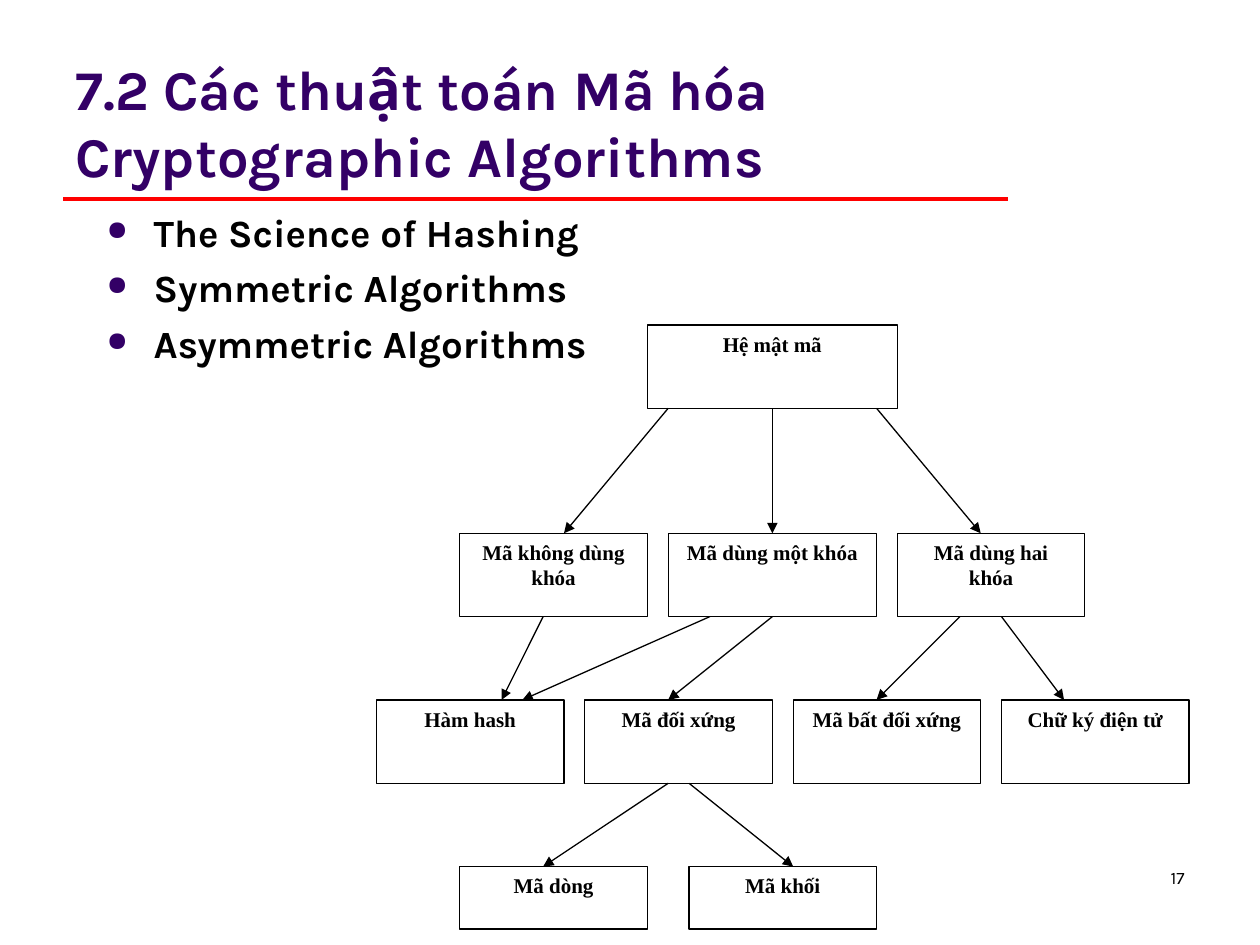
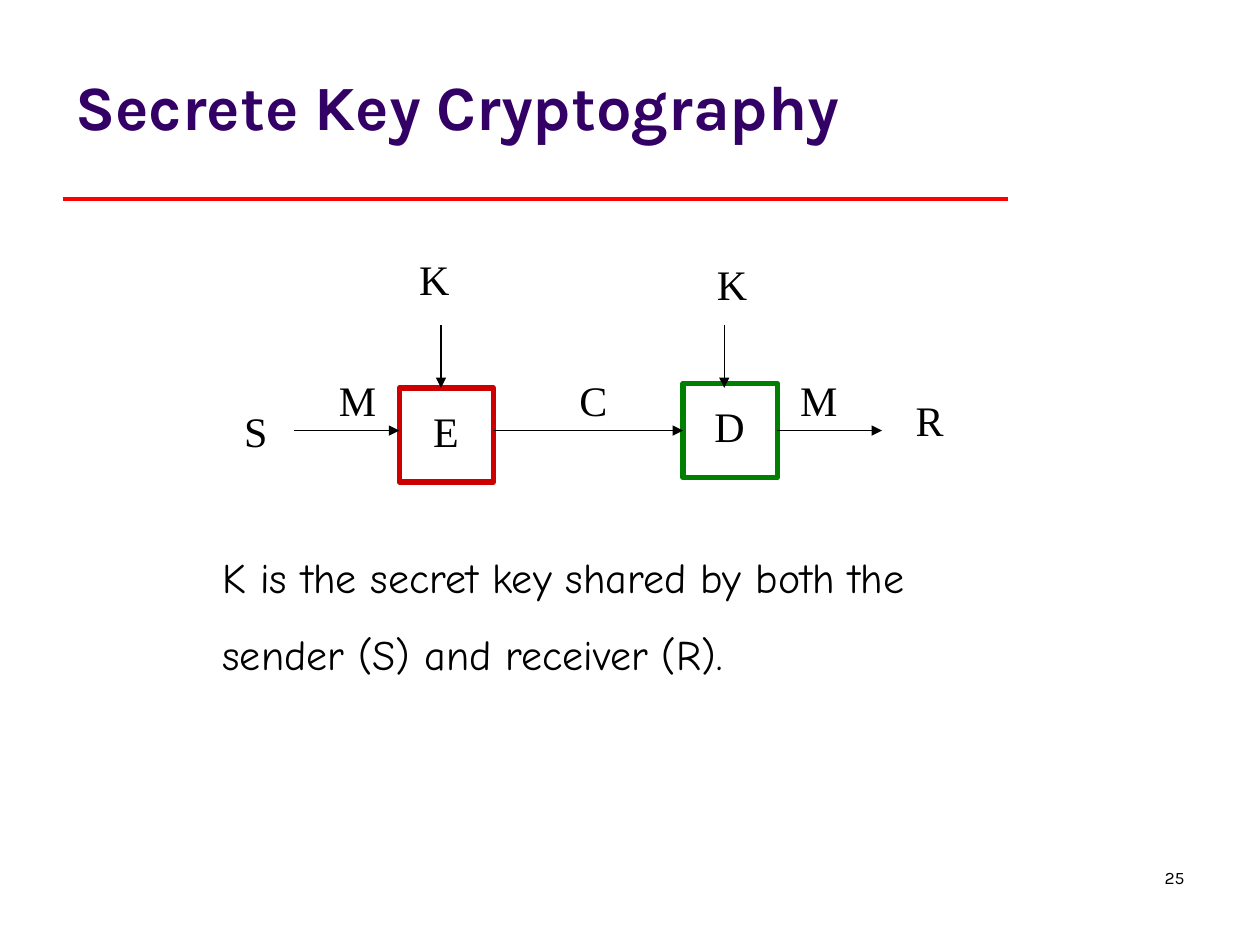
from lxml import etree
from pptx import Presentation
from pptx.dml.color import RGBColor
from pptx.enum.shapes import MSO_CONNECTOR, MSO_SHAPE
from pptx.enum.text import MSO_ANCHOR, PP_ALIGN
from pptx.oxml.ns import qn
from pptx.util import Cm, Pt

INK = RGBColor(0x00, 0x00, 0x00)
PAPER = RGBColor(0xFF, 0xFF, 0xFF)
VIOLET = RGBColor(0x33, 0x00, 0x66)
RULE_RED = RGBColor(0xFF, 0x00, 0x00)
ENCRYPT_RED = RGBColor(0xCC, 0x00, 0x00)
DECRYPT_GREEN = RGBColor(0x00, 0x80, 0x00)

SANS = "Karla"
SERIF = "Times New Roman"
HAND = "Comic Neue"

# The cipher tree sits on a square grid; its positions are (column, row) cells.
CELL = 0.42
TREE_LEFT, TREE_TOP = 7.59, 6.55

# text: (column, row, width, height)
TREE_BOXES = {
    "Hệ mật mã": (13, 0, 12, 4),
    "Mã không dùng khóa": (4, 10, 9, 4),
    "Mã dùng một khóa": (14, 10, 10, 4),
    "Mã dùng hai khóa": (25, 10, 9, 4),
    "Hàm hash": (0, 18, 9, 4),
    "Mã đối xứng": (10, 18, 9, 4),
    "Mã bất đối xứng": (20, 18, 9, 4),
    "Chữ ký điện tử": (30, 18, 9, 4),
    "Mã dòng": (4, 26, 9, 3),
    "Mã khối": (15, 26, 9, 3),
}
# parent, column where the arrow leaves it, child, column where it arrives
TREE_ARROWS = [
    ("Hệ mật mã", 14, "Mã không dùng khóa", 9),
    ("Hệ mật mã", 19, "Mã dùng một khóa", 19),
    ("Hệ mật mã", 24, "Mã dùng hai khóa", 29),
    ("Mã không dùng khóa", 8, "Hàm hash", 6),
    ("Mã dùng một khóa", 16, "Hàm hash", 7),
    ("Mã dùng một khóa", 19, "Mã đối xứng", 14),
    ("Mã dùng hai khóa", 28, "Mã bất đối xứng", 24),
    ("Mã dùng hai khóa", 30, "Chữ ký điện tử", 33),
    ("Mã đối xứng", 14, "Mã dòng", 8),
    ("Mã đối xứng", 15, "Mã khối", 20),
]

FLOW_Y = 8.68
BLOCK_SIDE = 1.9
# letter, left, top, width
FLOW_LETTERS = [
    ("S", 4.67, 8.05, 0.97),
    ("M", 6.58, 7.42, 1.24),
    ("E", 8.48, 8.05, 1.02),
    ("K", 8.2, 4.98, 1.12),
    ("C", 11.43, 7.42, 1.07),
    ("D", 14.15, 7.95, 1.12),
    ("K", 14.2, 5.08, 1.12),
    ("M", 15.88, 7.42, 1.24),
    ("R", 18.21, 7.82, 1.07),
]


def write(frame, lines, font, size, color=INK, bold=False,
          align=PP_ALIGN.LEFT, gap=0, bullet=False):
    """Write one paragraph per line, with gap points between them."""
    for index, line in enumerate(lines):
        paragraph = frame.add_paragraph() if index else frame.paragraphs[0]
        if bullet:
            add_bullet(paragraph)
        paragraph.alignment = align
        if index and gap:
            paragraph.space_before = Pt(gap)
        run = paragraph.add_run()
        run.text = line
        run.font.name = font
        run.font.size = Pt(size)
        run.font.bold = bold
        run.font.color.rgb = color


def add_bullet(paragraph):
    properties = paragraph._p.get_or_add_pPr()
    properties.set("marL", str(Cm(0.95)))
    properties.set("indent", str(-Cm(0.95)))
    color = etree.SubElement(properties, qn("a:buClr"))
    etree.SubElement(color, qn("a:srgbClr"), val=str(VIOLET))
    etree.SubElement(properties, qn("a:buSzPct"), val="70000")
    etree.SubElement(properties, qn("a:buChar"), char="●")


def add_text(slide, box, lines, font, size, anchor=MSO_ANCHOR.TOP, wrap=True, **style):
    frame = slide.shapes.add_textbox(*map(Cm, box)).text_frame
    frame.word_wrap = wrap
    frame.vertical_anchor = anchor
    write(frame, lines, font, size, **style)


def add_box(slide, box, outline, width, fill=None):
    rectangle = slide.shapes.add_shape(MSO_SHAPE.RECTANGLE, *map(Cm, box))
    rectangle.shadow.inherit = False
    if fill is None:
        rectangle.fill.background()
    else:
        rectangle.fill.solid()
        rectangle.fill.fore_color.rgb = fill
    rectangle.line.color.rgb = outline
    rectangle.line.width = Pt(width)
    return rectangle


def add_line(slide, start, end, color=INK, width=0.75):
    line = slide.shapes.add_connector(MSO_CONNECTOR.STRAIGHT, *map(Cm, (*start, *end)))
    line.line.color.rgb = color
    line.line.width = Pt(width)
    etree.SubElement(line._element.spPr, qn("a:effectLst"))
    return line


def add_arrow(slide, start, end):
    arrow = add_line(slide, start, end)
    etree.SubElement(arrow.line._get_or_add_ln(), qn("a:tailEnd"), type="triangle")
    return arrow


def start_slide(deck, title, title_size, title_anchor, number):
    """Add a slide with the title, the red rule and the slide number."""
    slide = deck.slides.add_slide(deck.slide_layouts[6])
    add_line(slide, (1.27, 4.02), (20.32, 4.02), RULE_RED, 2.25)
    add_text(slide, (18.21, 17.35, 5.92, 1.27), [number], SANS, 10, align=PP_ALIGN.RIGHT)
    add_text(slide, (1.27, 0.33, 20.96, 3.6), [title], SANS, title_size,
             title_anchor, color=VIOLET, bold=True)
    return slide


def tree_point(column, row):
    return TREE_LEFT + column * CELL, TREE_TOP + row * CELL


def add_cipher_tree(slide):
    boxes = {}
    for text, (column, row, width, height) in TREE_BOXES.items():
        place = (*tree_point(column, row), width * CELL, height * CELL)
        boxes[text] = add_box(slide, place, INK, 0.75, PAPER)
        frame = boxes[text].text_frame
        frame.word_wrap = True
        frame.vertical_anchor = MSO_ANCHOR.TOP
        write(frame, [text], SERIF, 12, bold=True, align=PP_ALIGN.CENTER)

    for parent, leave, child, arrive in TREE_ARROWS:
        parent_left, parent_top, parent_width, parent_height = TREE_BOXES[parent]
        child_left, child_top, child_width, _ = TREE_BOXES[child]
        arrow = add_arrow(slide, tree_point(leave, parent_top + parent_height),
                          tree_point(arrive, child_top))
        if leave == parent_left + parent_width / 2:
            arrow.begin_connect(boxes[parent], 2)
        if arrive == child_left + child_width / 2:
            arrow.end_connect(boxes[child], 0)


def add_secret_key_flow(slide):
    add_box(slide, (8.05, 7.82, BLOCK_SIDE, BLOCK_SIDE), ENCRYPT_RED, 3)
    decrypt = add_box(slide, (13.77, FLOW_Y - BLOCK_SIDE / 2, BLOCK_SIDE, BLOCK_SIDE),
                      DECRYPT_GREEN, 3)
    for letter, left, top, width in FLOW_LETTERS:
        add_text(slide, (left, top, width, 1.27), [letter], SERIF, 24, wrap=False)

    add_arrow(slide, (5.92, FLOW_Y), (8.05, FLOW_Y))
    ciphertext = add_arrow(slide, (9.95, FLOW_Y), (13.77, FLOW_Y))
    ciphertext.end_connect(decrypt, 1)
    message = add_arrow(slide, (15.67, FLOW_Y), (17.78, FLOW_Y))
    message.begin_connect(decrypt, 3)
    for key_x in (8.89, 14.6):
        add_arrow(slide, (key_x, 6.55), (key_x, 7.82))


def main():
    deck = Presentation()
    deck.slide_width, deck.slide_height = Cm(25.4), Cm(19.05)

    algorithms = start_slide(deck, "7.2 Các thuật toán Mã hóa Cryptographic Algorithms",
                             32, MSO_ANCHOR.BOTTOM, "17")
    topics = ["The Science of Hashing", "Symmetric Algorithms", "Asymmetric Algorithms"]
    add_text(algorithms, (1.9, 4.08, 21.6, 12.9), topics, SANS, 22,
             bold=True, gap=5.5, bullet=True)
    add_cipher_tree(algorithms)

    secret_key = start_slide(deck, "Secrete Key Cryptography", 36, MSO_ANCHOR.MIDDLE, "25")
    add_secret_key_flow(secret_key)
    explanation = ["K is the secret key shared by both the", "sender (S) and receiver (R)."]
    add_text(secret_key, (4.24, 11, 16.5, 2.82), explanation, HAND, 24, gap=15)

    deck.save("out.pptx")


if __name__ == "__main__":
    main()
